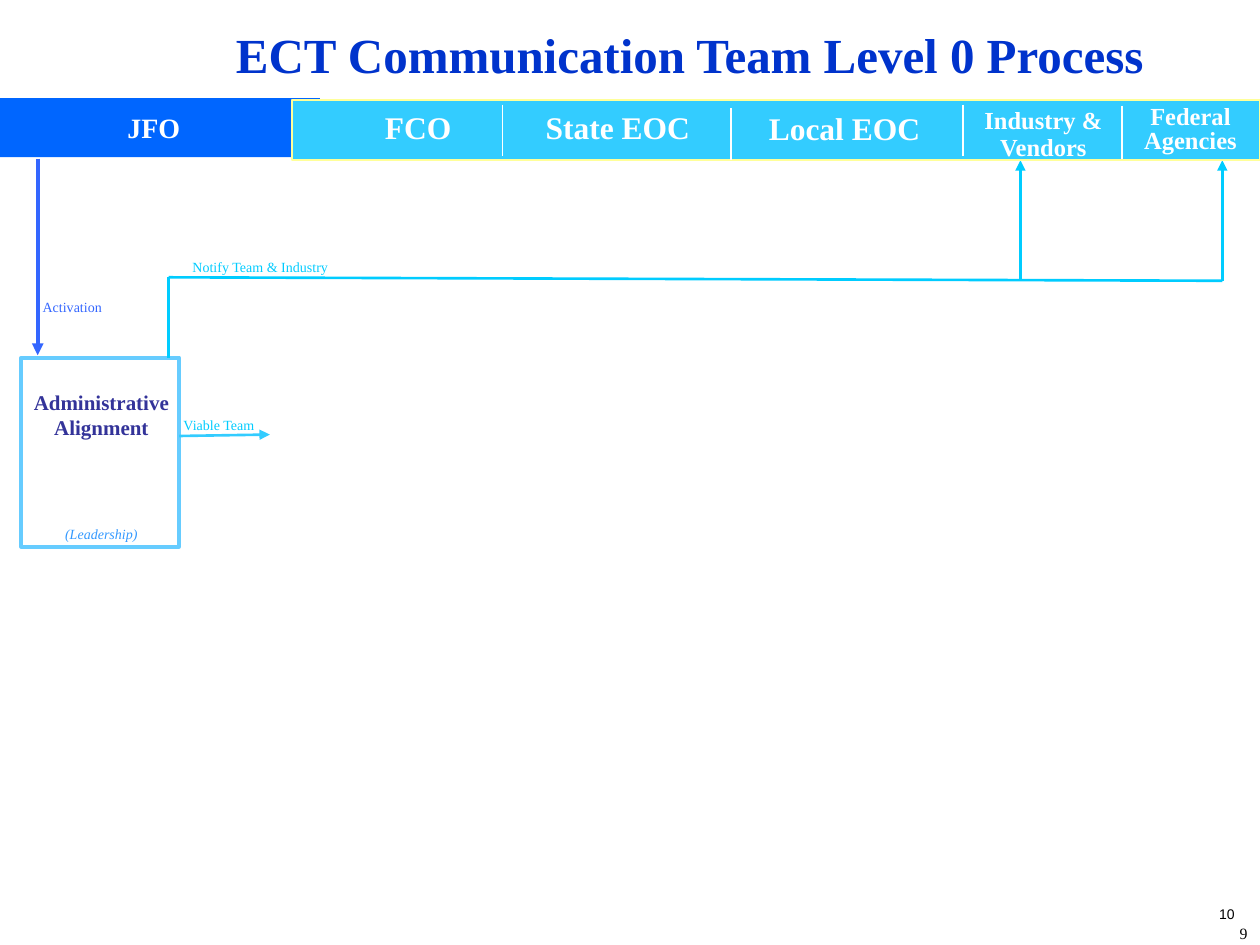
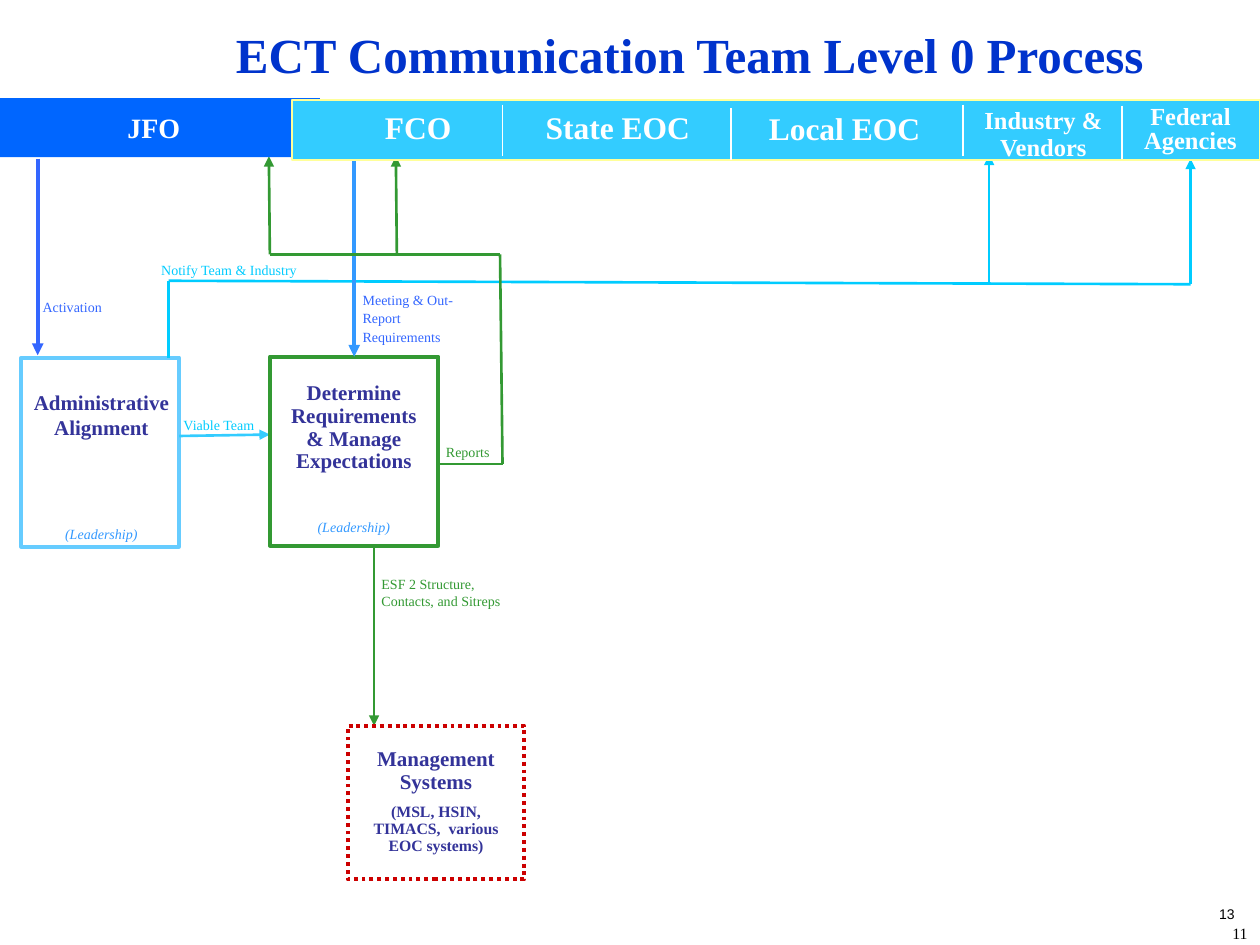
from dataclasses import dataclass

from pptx import Presentation
from pptx.dml.color import RGBColor
from pptx.enum.dml import MSO_LINE
from pptx.enum.shapes import MSO_CONNECTOR, MSO_SHAPE
from pptx.enum.text import PP_ALIGN
from pptx.oxml.ns import qn
from pptx.oxml.xmlchemy import OxmlElement
from pptx.util import Cm, Pt


@dataclass(frozen=True)
class Theme:
    serif: str = "Times New Roman"
    sans: str = "Arial"
    title: str = "0033CC"
    heading: str = "333399"
    role: str = "3399FF"
    activation: str = "3366FF"
    notify: str = "00CCFF"
    band: str = "33CCFF"
    band_edge: str = "FFFF99"
    jfo: str = "0066FF"
    admin: str = "66CCFF"
    report: str = "339933"
    systems: str = "CC0000"
    white: str = "FFFFFF"
    black: str = "000000"
    title_size: float = 28
    band_size: float = 18
    jfo_size: float = 16
    band_small: float = 14
    heading_size: float = 12
    note_size: float = 9
    label_size: float = 8
    thin: float = 1
    medium: float = 1.5
    thick: float = 2.25


class Deck:
    """Draw process-flow slides in one theme."""

    def __init__(self, prs, theme):
        self.prs = prs
        self.t = theme
        self.s = None

    def new_slide(self):
        self.s = self.prs.slides.add_slide(self.prs.slide_layouts[6])

    def text(self, x, y, w, h, text, size, color, bold=False, italic=False,
             align=PP_ALIGN.LEFT, spacing=1.0, font=None):
        tf = self.s.shapes.add_textbox(Cm(x), Cm(y), Cm(w), Cm(h)).text_frame
        tf.word_wrap = True
        self.fill_paragraph(tf.paragraphs[0], text, size, color, bold, italic,
                            align, spacing, font)
        return tf

    def fill_paragraph(self, p, text, size, color, bold=False, italic=False,
                       align=PP_ALIGN.CENTER, spacing=1.0, font=None):
        p.alignment = align
        p.line_spacing = spacing
        r = p.add_run()
        r.text = text
        r.font.name = font or self.t.serif
        r.font.size = Pt(size)
        r.font.bold = bold
        r.font.italic = italic
        r.font.color.rgb = RGBColor.from_string(color)

    def label(self, x, y, w, h, text, color, spacing=1.0):
        self.text(x, y, w, h, text, self.t.label_size, color, spacing=spacing)

    def heading(self, x, y, w, h, text, spacing=1.0):
        return self.text(x, y, w, h, text, self.t.heading_size, self.t.heading,
                         bold=True, align=PP_ALIGN.CENTER, spacing=spacing)

    def role(self, tf, text, gap):
        p = tf.add_paragraph()
        self.fill_paragraph(p, text, self.t.label_size, self.t.role, italic=True)
        p.space_before = Pt(gap)

    def rect(self, x, y, w, h, fill=None, line=None, width=1.0, dash=None):
        sp = self.s.shapes.add_shape(MSO_SHAPE.RECTANGLE, Cm(x), Cm(y), Cm(w), Cm(h))
        sp.shadow.inherit = False
        if fill:
            sp.fill.solid()
            sp.fill.fore_color.rgb = RGBColor.from_string(fill)
        else:
            sp.fill.background()
        if line:
            sp.line.color.rgb = RGBColor.from_string(line)
            sp.line.width = Pt(width)
            if dash:
                sp.line.dash_style = dash
        else:
            sp.line.fill.background()
        return sp

    def line(self, x1, y1, x2, y2, color, width=None, arrow=False):
        c = self.s.shapes.add_connector(
            MSO_CONNECTOR.STRAIGHT, Cm(x1), Cm(y1), Cm(x2), Cm(y2))
        c.line.color.rgb = RGBColor.from_string(color)
        c.line.width = Pt(width or self.t.medium)
        spPr = c._element.spPr
        if arrow:
            tail = OxmlElement("a:tailEnd")
            tail.set("type", "triangle")
            spPr.find(qn("a:ln")).append(tail)
        spPr.append(OxmlElement("a:effectLst"))
        return c

    def title(self, text):
        self.text(4.34, 0.36, 19.13, 1.45, text, self.t.title_size, self.t.title,
                  bold=True, align=PP_ALIGN.CENTER)

    def band(self):
        t = self.t
        self.rect(0, 1.98, 6.45, 1.19, fill=t.jfo)
        self.rect(5.89, 2.01, 19.51, 1.22, fill=t.band, line=t.band_edge, width=t.thin)
        for x, y, w, h, name, size, spacing in (
            (0, 2.18, 6.2, 0.86, "JFO", t.jfo_size, 0.9),
            (7.26, 2.06, 2.34, 1.02, "FCO", t.band_size, 1.0),
            (10.13, 2.06, 4.65, 1.02, "State EOC", t.band_size, 1.0),
            (15.16, 2.08, 3.73, 1.02, "Local EOC", t.band_size, 1.0),
            (19.13, 2.06, 3.81, 1.32, "Industry & Vendors", t.band_small, 0.9),
            (22.17, 2.03, 3.66, 1.22, "Federal Agencies", t.band_small, 0.8),
        ):
            self.text(x, y, w, h, name, size, t.white, bold=True,
                      align=PP_ALIGN.CENTER, spacing=spacing)
        for x, top, bottom in ((10.13, 2.11, 3.15), (14.73, 2.18, 3.23),
                               (19.42, 2.11, 3.15), (22.62, 2.13, 3.2)):
            self.line(x, top, x, bottom, t.white, t.thin)

    def page_numbers(self, upper, lower):
        t = self.t
        self.text(23.47, 18.49, 1.93, 0.64, lower, t.note_size, t.black,
                  align=PP_ALIGN.RIGHT)
        self.text(23.11, 18.14, 2.03, 0.81, upper, t.label_size, t.black,
                  align=PP_ALIGN.RIGHT, font=t.sans)

    def administrative_alignment(self):
        t = self.t
        self.line(0.76, 3.2, 0.76, 7.16, t.activation, t.thick, arrow=True)
        self.label(0.61, 5.89, 1.9, 0.61, "Activation", t.activation)
        self.rect(0.43, 7.21, 3.18, 3.81, line=t.admin, width=t.thick)
        tf = self.heading(0.23, 7.72, 3.63, 3.86, "Administrative Alignment")
        self.role(tf, "(Leadership)", 49)
        self.line(3.61, 8.79, 5.44, 8.76, t.band, arrow=True)
        self.label(3.45, 8.23, 1.98, 0.64, "Viable Team", t.notify, 1.1)

    def notification(self, top, label_x, industry, federal):
        color = self.t.notify
        stem, end = 3.4, top + 0.07
        self.line(stem, top, stem, 7.21, color)
        self.line(stem, top, federal[0], end, color)
        for x, tip in (industry, federal):
            self.line(x, end, x, tip, color, arrow=True)
        self.label(label_x, top - 0.36, 4.55, 0.43, "Notify Team & Industry", color, 0.5)

    def requirements(self):
        t = self.t
        box = self.rect(5.44, 7.19, 3.4, 3.81, fill=t.white, line=t.report, width=t.thick)
        tf = self.heading(5.56, 7.59, 3.15, 3.81,
                          "Determine Requirements & Manage Expectations", 0.9)
        self.role(tf, "(Leadership)", 26)
        meeting = self.line(7.14, 3.15, 7.14, 7.19, t.role, t.thick, arrow=True)
        meeting.end_connect(box, 0)
        self.label(7.06, 5.72, 2.44, 1.37, "Meeting & Out-Report Requirements",
                   t.activation, 1.1)

    def reports(self):
        color = self.t.report
        self.line(8.84, 9.35, 10.13, 9.35, color)
        self.line(10.13, 9.35, 10.08, 5.13, color)
        self.line(10.08, 5.13, 5.44, 5.13, color)
        for x in (5.44, 8):
            self.line(x, 5.13, x - 0.02, 3.15, color, arrow=True)
        self.label(8.74, 8.79, 1.42, 0.64, "Reports", color, 1.1)

    def management_systems(self):
        t = self.t
        self.line(7.54, 11, 7.54, 14.63, t.report, arrow=True)
        self.label(7.44, 11.48, 3.12, 0.94, "ESF 2 Structure, Contacts, and Sitreps", t.report)
        self.rect(7.01, 14.63, 3.56, 3.1, line=t.systems, width=t.thick,
                  dash=MSO_LINE.ROUND_DOT)
        tf = self.heading(7.01, 14.96, 3.56, 2.41, "Management Systems", 0.9)
        p = tf.add_paragraph()
        self.fill_paragraph(p, "(MSL, HSIN, TIMACS,  various EOC systems)",
                            t.note_size, t.heading, bold=True, spacing=0.9)
        p.space_before = Pt(5.6)


def main():
    prs = Presentation()
    prs.slide_width, prs.slide_height = Cm(25.4), Cm(19.05)
    deck = Deck(prs, Theme())
    title = "ECT Communication Team Level 0 Process"

    deck.new_slide()
    deck.title(title)
    deck.administrative_alignment()
    deck.notification(5.59, 3.63, industry=(20.57, 3.23), federal=(24.64, 3.23))
    deck.band()
    deck.page_numbers("10", "9")

    deck.new_slide()
    deck.title(title)
    deck.administrative_alignment()
    deck.notification(5.66, 3, industry=(19.94, 3.12), federal=(24, 3.2))
    deck.requirements()
    deck.reports()
    deck.management_systems()
    deck.band()
    deck.page_numbers("13", "11")

    prs.save("out.pptx")


if __name__ == "__main__":
    main()
